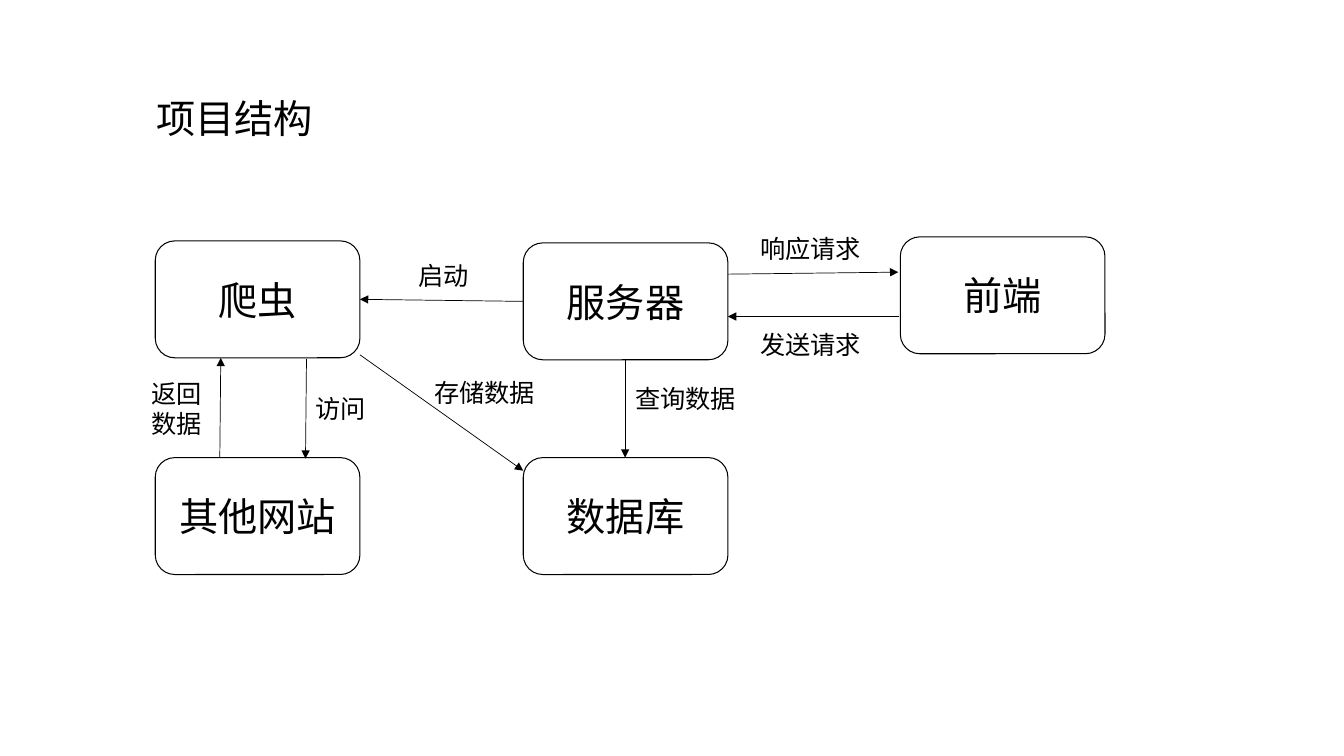
import pptx
import pptx.dml.color
import pptx.enum.shapes
import pptx.enum.text
import pptx.oxml.ns
import pptx.util
from lxml import etree

Inches = pptx.util.Inches
FONT = "Noto Sans CJK SC"
BLACK = "000000"
NODE_WIDTH, NODE_HEIGHT = 2.03, 1.16
LABEL_HEIGHT = 0.4

# Offsets in inches from the top left corner of the diagram.
NODES = [
    ("爬虫", 0, 0),
    ("服务器", 3.65, 0.02),
    ("前端", 7.39, -0.04),
    ("其他网站", 0, 2.15),
    ("数据库", 3.65, 2.15),
]
# Label, its left, top and width, then the start and end of its arrow.
FLOWS = [
    ("启动", 2.51, 0.14, 0.72, (3.65, 0.6), (2.03, 0.58)),
    ("响应请求", 5.9, -0.12, 1.24, (5.68, 0.33), (7.37, 0.31)),
    ("发送请求", 5.9, 0.83, 1.24, (7.38, 0.75), (5.68, 0.75)),
    ("返回数据", -0.14, 1.31, 0.72, (0.64, 2.15), (0.65, 1.16)),
    ("访问", 1.49, 1.46, 0.72, (1.5, 1.17), (1.49, 2.16)),
    ("存储数据", 2.67, 1.3, 1.24, (2.03, 1.13), (3.65, 2.28)),
    ("查询数据", 4.66, 1.36, 1.24, (4.66, 1.18), (4.66, 2.15)),
]


def color(value):
    return pptx.dml.color.RGBColor.from_string(value)


def add_child(parent, tag, **attributes):
    return etree.SubElement(parent, pptx.oxml.ns.qn(tag), attributes)


def write(box, text, size, align, anchor):
    frame = box.text_frame
    for name, value in {"word_wrap": True, "vertical_anchor": anchor}.items():
        setattr(frame, name, value)
    para = frame.paragraphs[0]
    para.alignment = align
    span = para.add_run()
    span.text = text
    formats = {"size": pptx.util.Pt(size), "name": FONT}
    for name, value in formats.items():
        setattr(span.font, name, value)
    span.font.color.rgb = color(BLACK)
    add_child(span.font._element, "a:ea", typeface=FONT)


def add_label(page, text, left, top, width, height, size):
    box = page.shapes.add_textbox(*map(Inches, (left, top, width, height)))
    write(box, text, size, pptx.enum.text.PP_ALIGN.LEFT, pptx.enum.text.MSO_ANCHOR.TOP)


def add_node(page, text, left, top):
    box = page.shapes.add_shape(
        pptx.enum.shapes.MSO_SHAPE.ROUNDED_RECTANGLE,
        *map(Inches, (left, top, NODE_WIDTH, NODE_HEIGHT)),
    )
    box.shadow.inherit = False
    box.fill.background()
    box.line.color.rgb = color(BLACK)
    box.line.width = pptx.util.Pt(0.75)
    write(box, text, 28, pptx.enum.text.PP_ALIGN.CENTER, pptx.enum.text.MSO_ANCHOR.MIDDLE)


def add_arrow(page, start, end):
    arrow = page.shapes.add_connector(
        pptx.enum.shapes.MSO_CONNECTOR.STRAIGHT, *map(Inches, (*start, *end))
    )
    arrow.line.color.rgb = color(BLACK)
    arrow.line.width = pptx.util.Pt(0.5)
    add_child(arrow.line._get_or_add_ln(), "a:tailEnd", type="triangle")
    add_child(arrow._element.spPr, "a:effectLst")


def add_diagram(page, left, top):
    for text, x, y in NODES:
        add_node(page, text, left + x, top + y)
    for text, x, y, width, start, end in FLOWS:
        add_arrow(page, *((left + px, top + py) for px, py in (start, end)))
        add_label(page, text, left + x, top + y, width, LABEL_HEIGHT, 18)


def main():
    deck = pptx.Presentation()
    deck.slide_width, deck.slide_height = Inches(13.33), Inches(7.5)
    page = deck.slides.add_slide(deck.slide_layouts[6])
    add_label(page, "项目结构", 1.45, 0.89, 10.68, 0.57, 28)
    add_diagram(page, 1.54, 2.39)
    deck.save("out.pptx")


if __name__ == "__main__":
    main()
